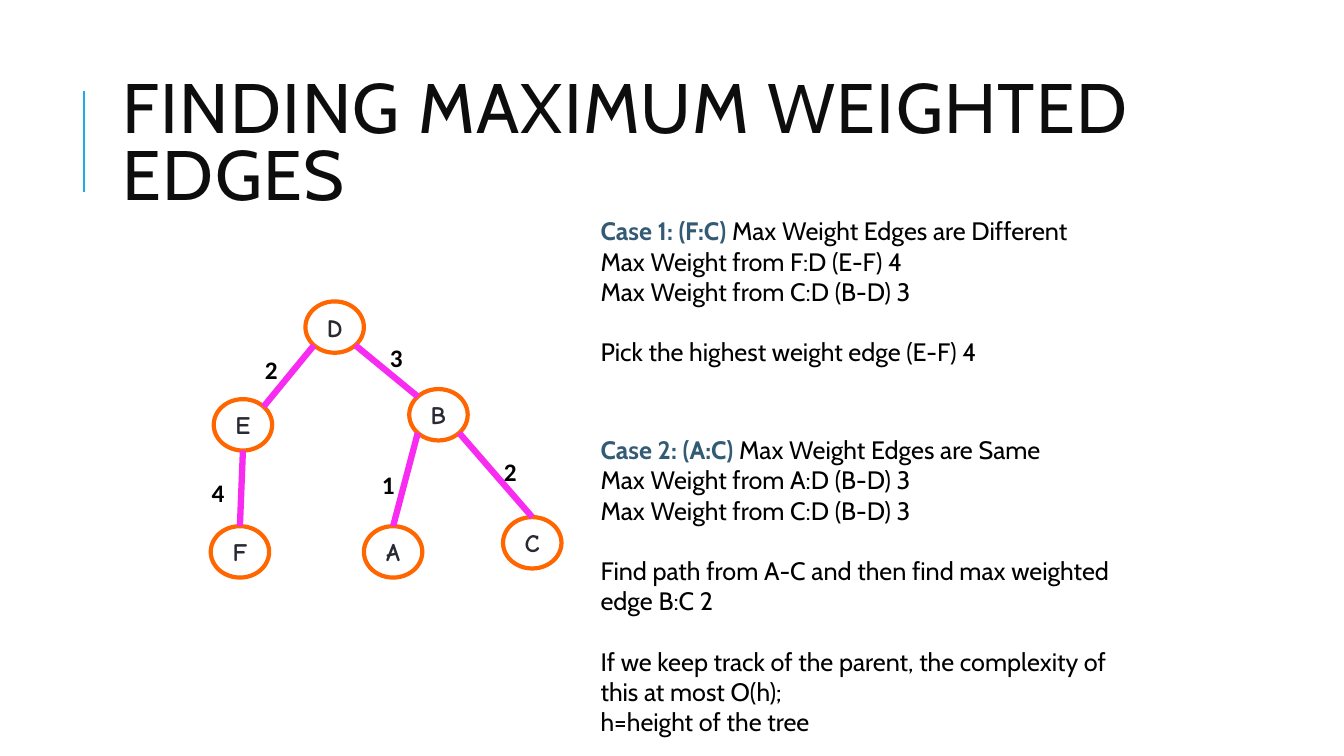
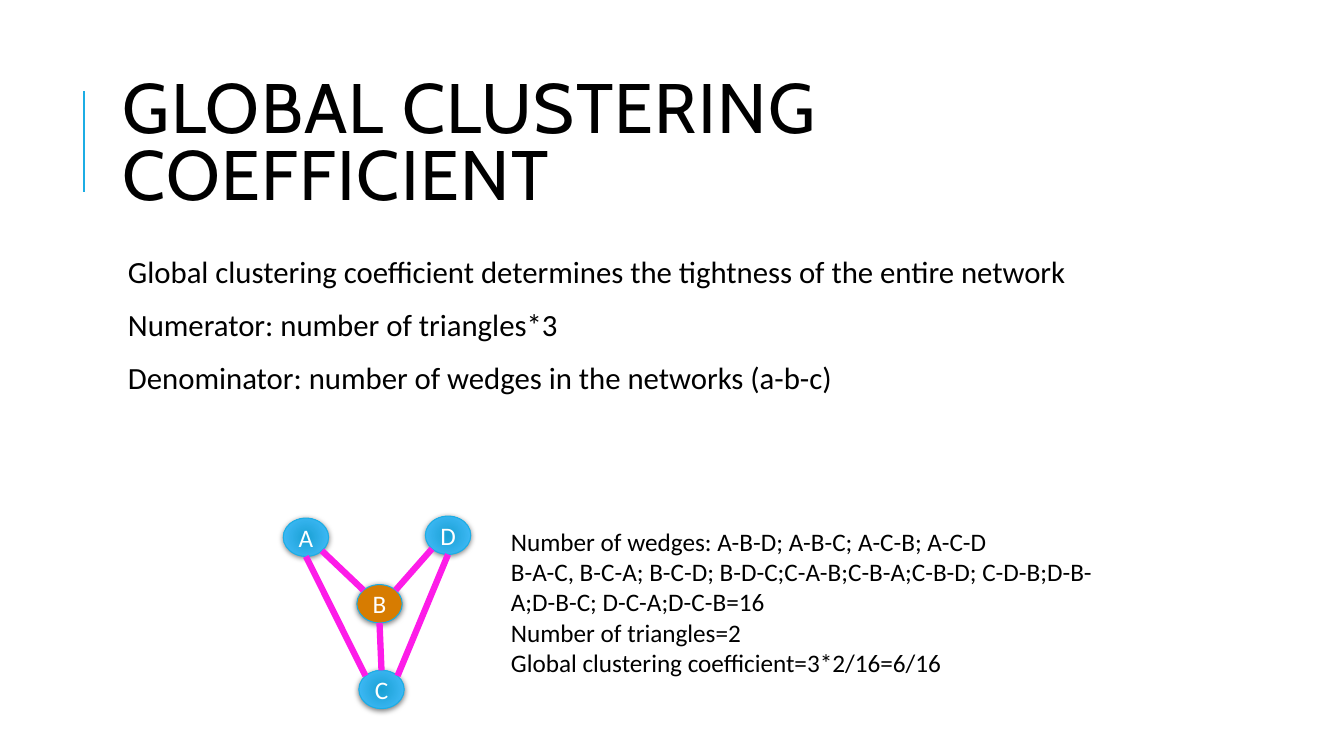
from dataclasses import dataclass, field
from enum import Enum

from pptx import Presentation, oxml, util as u
from pptx.dml.color import RGBColor
from pptx.enum import shapes, text
from pptx.oxml.ns import nsdecls

CELL = u.Inches(0.1)  # the slide is a grid of 133.33 columns by 75 rows


@dataclass(frozen=True)
class Theme:
    accent: str = "1CADE4"
    heading: str = "0D0D0D"
    ink: str = "000000"
    case: str = "335B74"
    title_font: str = "Cabin"
    body_font: str = "Calibri"
    title_size: int = 50
    lead_size: int = 22
    text_size: int = 18
    row_gap: float = 21.6
    edge_width: float = 4.5


THEME = Theme()


class Site(Enum):
    """Connection sites of an ellipse, as shares of its width and height."""
    TOP = (0.5, 0)
    TOP_LEFT = (0.146, 0.146)
    TOP_RIGHT = (0.854, 0.146)
    BOTTOM = (0.5, 1)
    BOTTOM_LEFT = (0.146, 0.854)
    BOTTOM_RIGHT = (0.854, 0.854)


@dataclass(frozen=True)
class Box:
    column: float
    row: float
    columns: float
    rows: float

    def lengths(self) -> list[int]:
        return [cells(n) for n in (self.column, self.row, self.columns, self.rows)]

    def point(self, site: Site) -> tuple[float, float]:
        across, down = site.value
        return self.column + across * self.columns, self.row + down * self.rows


@dataclass(frozen=True)
class Line:
    body: str
    lead: str = ""
    gap: float = 0


@dataclass(frozen=True)
class Node:
    label: str
    column: float
    row: float
    fill: str = ""


@dataclass(frozen=True)
class Edge:
    start: str
    start_site: Site
    end: str
    end_site: Site


@dataclass(frozen=True)
class GraphStyle:
    columns: float
    rows: float
    outline: str
    outline_width: float
    edge: str
    font: dict
    gradient: tuple[str, ...] = ()
    shadow: bool = False


@dataclass(frozen=True)
class Graph:
    style: GraphStyle
    nodes: list[Node]
    edges: list[Edge]
    weights: list[tuple[str, float, float]] = field(default_factory=list)


TITLE_BOX = Box(11.2, 6.4, 106.3, 16.4)

TREE = Graph(
    GraphStyle(5.8, 5.1, "FF6600", 3, "F82CF1",
               {"name": "Comic Neue", "bold": True, "color": "292934"}),
    [Node("D", 30.3, 29.9), Node("B", 40.6, 38.6), Node("E", 21.2, 39.6),
     Node("F", 20.9, 52.2), Node("A", 36.1, 52.2), Node("C", 49.9, 51.3)],
    [Edge("D", Site.BOTTOM_LEFT, "E", Site.TOP_RIGHT),
     Edge("D", Site.BOTTOM_RIGHT, "B", Site.TOP_LEFT),
     Edge("B", Site.BOTTOM_LEFT, "A", Site.TOP),
     Edge("B", Site.BOTTOM_RIGHT, "C", Site.TOP),
     Edge("E", Site.BOTTOM, "F", Site.TOP)],
    [("2", 49, 44.8), ("1", 36.9, 46.1), ("4", 20, 46.9),
     ("2", 25.3, 34.7), ("3", 37.7, 33.5)],
)

NETWORK = Graph(
    GraphStyle(4.5, 3.8, THEME.accent, 0.75, "FD1CE8", {"color": "FFFFFF"},
               gradient=("1AA1D4", "48BFFF"), shadow=True),
    [Node("A", 28.1, 51.4), Node("D", 42.2, 51.2),
     Node("B", 35.4, 58, "D77C01"), Node("C", 35.6, 66.5)],
    [Edge("A", Site.BOTTOM, "C", Site.TOP_LEFT),
     Edge("D", Site.BOTTOM, "C", Site.TOP_RIGHT),
     Edge("A", Site.BOTTOM_RIGHT, "B", Site.TOP_LEFT),
     Edge("B", Site.TOP_RIGHT, "D", Site.BOTTOM_LEFT),
     Edge("B", Site.BOTTOM, "C", Site.TOP)],
)

CASES = {
    Box(58.6, 20.9, 56.4, 16.2): [
        Line("Max Weight Edges are Different", "Case 1: (F:C) "),
        Line("Max Weight from F:D (E-F) 4"),
        Line("Max Weight from C:D (B-D) 3"),
        Line("Pick the highest weight edge (E-F) 4", gap=THEME.row_gap),
    ],
    Box(58.6, 42.6, 56.4, 25.2): [
        Line("Max Weight Edges are Same", "Case 2: (A:C) "),
        Line("Max Weight from A:D (B-D) 3"),
        Line("Max Weight from C:D (B-D) 3"),
        Line("Find path from A-C and then find max weighted edge B:C 2", gap=THEME.row_gap),
        Line("If we keep track of the parent, the complexity of this at most O(h);",
             gap=THEME.row_gap),
        Line("h=height of the tree"),
    ],
}

DEFINITION = [
    Line("Global clustering coefficient determines the tightness of the entire network", gap=12),
    Line("Numerator: number of triangles*3", gap=12),
    Line("Denominator: number of wedges in the networks (a-b-c)", gap=12),
]

COUNTS = [
    Line("Number of wedges: A-B-D; A-B-C; A-C-B; A-C-D"),
    Line("B-A-C, B-C-A; B-C-D; B-D-C;C-A-B;C-B-A;C-B-D; C-D-B;D-B-A;D-B-C; D-C-A;D-C-B=16"),
    Line("Number of triangles=2"),
    Line("Global clustering coefficient=3*2/16=6/16"),
]


def cells(count: float) -> int:
    return round(count * CELL)


def set_all(target, values: dict) -> None:
    for name, value in values.items():
        setattr(target, name, value)


def add_run(paragraph, content: str, **formats):
    """Add a run in the default body style, changed by the given formats."""
    values = {"name": THEME.body_font, "size": THEME.text_size,
              "bold": False, "color": THEME.ink} | formats
    run = paragraph.add_run()
    run.text = content
    run.font.color.rgb = RGBColor.from_string(values.pop("color"))
    values["size"] = u.Pt(values["size"])
    set_all(run.font, values)
    return run


def add_text(slide, box: Box, lines: list[Line], font: dict, paragraph_format: dict,
             frame_format: dict) -> None:
    frame = slide.shapes.add_textbox(*box.lengths()).text_frame
    set_all(frame, {"word_wrap": True} | frame_format)
    for index, line in enumerate(lines):
        paragraph = frame.add_paragraph() if index else frame.paragraphs[0]
        set_all(paragraph, {"space_before": u.Pt(line.gap)} | paragraph_format)
        if line.lead:
            add_run(paragraph, line.lead, **font | {"bold": True, "color": THEME.case})
        add_run(paragraph, line.body, **font)


def add_line(slide, start: tuple, end: tuple, color: str, width: float) -> None:
    ends = [cells(n) for n in (*start, *end)]
    line = slide.shapes.add_connector(shapes.MSO_CONNECTOR.STRAIGHT, *ends)
    line.line.color.rgb = RGBColor.from_string(color)
    line.line.width = u.Pt(width)
    line.element.spPr.append(oxml.parse_xml(f"<a:effectLst {nsdecls('a')}/>"))


def fill_radial(shape, colors: tuple[str, ...]) -> None:
    shape.fill.gradient()
    for stop, color in zip(shape.fill.gradient_stops, colors):
        stop.color.rgb = RGBColor.from_string(color)
    linear = shape.element.spPr.find(".//" + oxml.ns.qn("a:lin"))
    linear.getparent().replace(linear, oxml.parse_xml(
        f'<a:path {nsdecls("a")} path="circle">'
        '<a:fillToRect l="100000" t="100000" r="100000" b="100000"/></a:path>'))


def add_shadow(shape) -> None:
    effects = shape.element.spPr.find(oxml.ns.qn("a:effectLst"))
    effects.append(oxml.parse_xml(
        f'<a:outerShdw {nsdecls("a")} blurRad="{u.Pt(4)}" dist="{u.Pt(1)}" dir="5400000" '
        'rotWithShape="0"><a:srgbClr val="000000"><a:alpha val="50000"/></a:srgbClr>'
        '</a:outerShdw>'))


def add_node(slide, node: Node, box: Box, style: GraphStyle) -> None:
    shape = slide.shapes.add_shape(shapes.MSO_SHAPE.OVAL, *box.lengths())
    shape.shadow.inherit = False
    if node.fill:
        shape.fill.solid()
        shape.fill.fore_color.rgb = RGBColor.from_string(node.fill)
    elif style.gradient:
        fill_radial(shape, style.gradient)
    else:
        shape.fill.background()
    shape.line.color.rgb = RGBColor.from_string(style.outline)
    shape.line.width = u.Pt(style.outline_width)
    if style.shadow:
        add_shadow(shape)
    set_all(shape.text_frame, {"word_wrap": False,
                               "vertical_anchor": text.MSO_ANCHOR.MIDDLE})
    paragraph = shape.text_frame.paragraphs[0]
    paragraph.alignment = text.PP_ALIGN.CENTER
    add_run(paragraph, node.label, **style.font)


def add_graph(slide, graph: Graph) -> None:
    style = graph.style
    boxes = {node.label: Box(node.column, node.row, style.columns, style.rows)
             for node in graph.nodes}
    for node in graph.nodes:
        add_node(slide, node, boxes[node.label], style)
    for edge in graph.edges:
        add_line(slide, boxes[edge.start].point(edge.start_site),
                 boxes[edge.end].point(edge.end_site), style.edge, THEME.edge_width)
    for weight, column, row in graph.weights:
        add_text(slide, Box(column, row, 4.1, 4), [Line(weight)], {"bold": True}, {}, {})


def add_titled_slide(presentation, title: str, color: str):
    slide = presentation.slides.add_slide(presentation.slide_layouts[6])
    add_line(slide, (8.3, 19), (8.3, 9), THEME.accent, 1.5)
    frame = slide.shapes.add_textbox(*TITLE_BOX.lengths()).text_frame
    set_all(frame, {"word_wrap": True, "vertical_anchor": text.MSO_ANCHOR.MIDDLE})
    paragraph = frame.paragraphs[0]
    paragraph.line_spacing = 0.8
    run = add_run(paragraph, title, name=THEME.title_font, size=THEME.title_size, color=color)
    run._r.get_or_add_rPr().set("spc", "100")
    return slide


def add_edges_slide(presentation) -> None:
    slide = add_titled_slide(presentation, "FINDING MAXIMUM WEIGHTED EDGES", THEME.heading)
    add_graph(slide, TREE)
    for box, lines in CASES.items():
        add_text(slide, box, lines, {"name": THEME.title_font}, {}, {})


def add_clustering_slide(presentation) -> None:
    slide = add_titled_slide(presentation, "GLOBAL CLUSTERING COEFFICIENT", THEME.ink)
    add_text(slide, Box(11.2, 25, 106.3, 44), DEFINITION, {"size": THEME.lead_size},
             {"line_spacing": 0.9, "space_after": u.Pt(2)},
             {"margin_left": cells(1.5), "margin_right": cells(0.5),
              "margin_top": cells(0.5), "margin_bottom": cells(0.5)})
    add_graph(slide, NETWORK)
    add_text(slide, Box(49.7, 51.7, 60.2, 16.2), COUNTS, {}, {}, {})


def main() -> None:
    presentation = Presentation()
    set_all(presentation, {"slide_width": cells(133.33), "slide_height": cells(75)})
    add_edges_slide(presentation)
    add_clustering_slide(presentation)
    presentation.save("out.pptx")


if __name__ == "__main__":
    main()
